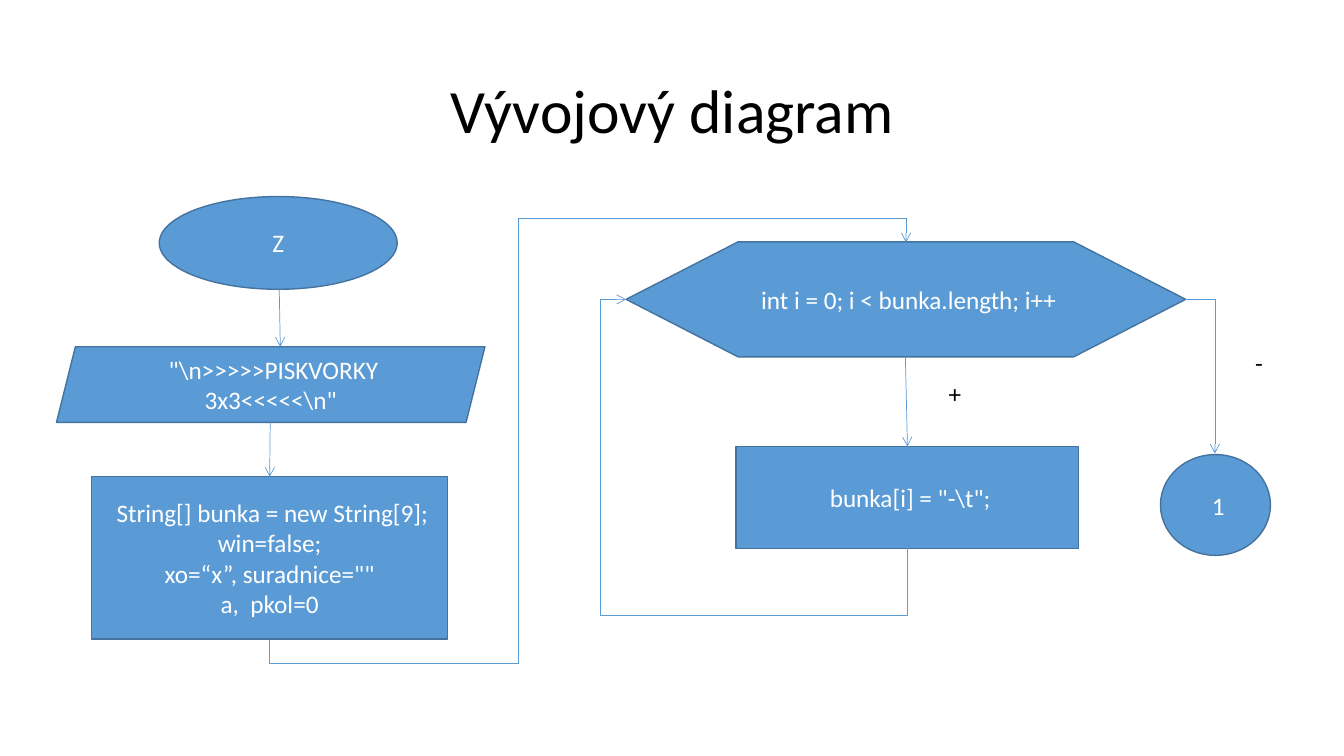
from lxml import etree
from pptx import Presentation
from pptx.dml.color import RGBColor
from pptx.enum.shapes import MSO_CONNECTOR, MSO_SHAPE
from pptx.enum.text import MSO_ANCHOR, MSO_AUTO_SIZE, PP_ALIGN
from pptx.oxml.ns import qn
from pptx.util import Inches, Pt

OVAL = MSO_SHAPE.OVAL
SLANT = MSO_SHAPE.PARALLELOGRAM
RECT = MSO_SHAPE.RECTANGLE
LOOP = MSO_SHAPE.FLOWCHART_PREPARATION
LINE, ELBOW = MSO_CONNECTOR.STRAIGHT, MSO_CONNECTOR.ELBOW
CENTER, LEFT = PP_ALIGN.CENTER, PP_ALIGN.LEFT
MIDDLE, TOP = MSO_ANCHOR.MIDDLE, MSO_ANCHOR.TOP
FIT = MSO_AUTO_SIZE.SHAPE_TO_FIT_TEXT

BLUE, EDGE, WHITE, BLACK = "5B9BD5", "43739E", "FFFFFF", "000000"
BODY = {"name": "Calibri", "size": Pt(18)}
HEAD = {"name": "Calibri", "size": Pt(44)}


def paint(target, color):
    target.rgb = RGBColor.from_string(color)


def write(frame, lines, style, color, align=CENTER, space=None):
    for i, line in enumerate(lines):
        para = frame.paragraphs[0] if i == 0 else frame.add_paragraph()
        para.alignment = align
        para.line_spacing = space
        run = para.add_run()
        run.text = line
        for key, value in style.items():
            setattr(run.font, key, value)
        paint(run.font.color, color)


def node(slide, kind, box, *lines):
    """Blue flowchart symbol with centred white text."""
    shape = slide.shapes.add_shape(kind, *map(Inches, box))
    shape.shadow.inherit = False
    shape.fill.solid()
    paint(shape.fill.fore_color, BLUE)
    paint(shape.line.color, EDGE)
    shape.line.width = Pt(1)
    shape.text_frame.vertical_anchor = MIDDLE
    write(shape.text_frame, lines, BODY, WHITE)
    return shape


def label(slide, box, text):
    """Small branch mark beside an arrow."""
    frame = slide.shapes.add_textbox(*map(Inches, box)).text_frame
    frame.word_wrap = False
    frame.auto_size = FIT
    frame.vertical_anchor = TOP
    write(frame, [text], BODY, BLACK, LEFT)


def title(slide, box, text):
    frame = slide.shapes.add_textbox(*map(Inches, box)).text_frame
    frame.word_wrap = True
    frame.vertical_anchor = MIDDLE
    write(frame, [text], HEAD, BLACK, space=0.9)


def arrow(slide, start, end, kind=LINE):
    link = slide.shapes.add_connector(kind, *map(Inches, start + end))
    paint(link.line.color, BLUE)
    link.line.width = Pt(0.5)
    props = link.element.spPr
    tail = etree.SubElement(props.find(qn("a:ln")), qn("a:tailEnd"))
    tail.set("type", "arrow")
    etree.SubElement(props, qn("a:effectLst"))
    return link


def elbow(slide, box, preset, turn=0, flips="", bends=()):
    """Bent arrow: frame before turning, turn in degrees, bends as shares."""
    x, y, w, h = box
    props = arrow(slide, (x, y), (x + w, y + h), ELBOW).element.spPr
    frame = props.find(qn("a:xfrm"))
    frame.set("rot", str(turn * 60000))
    for side in flips:
        frame.set("flip" + side, "1")
    geom = props.find(qn("a:prstGeom"))
    geom.set("prst", preset)
    guides = geom.find(qn("a:avLst"))
    for i, share in enumerate(bends, 1):
        guide = etree.SubElement(guides, qn("a:gd"))
        guide.set("name", f"adj{i}")
        guide.set("fmla", f"val {round(share * 100000)}")


def main():
    deck = Presentation()
    deck.slide_width, deck.slide_height = Inches(13.33), Inches(7.5)
    slide = deck.slides.add_slide(deck.slide_layouts[6])
    title(slide, (0.92, 0.4, 11.5, 1.45), "Vývojový diagram")

    # Start, output and variables
    node(slide, OVAL, (1.58, 1.95, 2.36, 0.92), "Z")
    node(slide, SLANT, (0.56, 3.44, 4.25, 0.75),
         r' "\n>>>>>PISKVORKY 3x3<<<<<\n"')
    setup = node(slide, RECT, (0.91, 4.73, 3.53, 1.61),
                 " String[] bunka = new String[9];", "win=false;",
                 'xo=“x”, suradnice=""', "a,  pkol=0")

    # Loop, its body and the page link
    node(slide, LOOP, (6.21, 2.4, 5.55, 1.14),
         " int i = 0; i < bunka.length; i++")
    step = node(slide, RECT, (7.3, 4.43, 3.4, 1.01), r' bunka[i] = "-\t";')
    node(slide, OVAL, (11.51, 4.51, 1.09, 1), " 1")

    # Straight arrows
    arrow(slide, (2.77, 2.87), (2.78, 3.44))
    arrow(slide, (2.68, 4.19), (2.68, 4.73)).end_connect(setup, 0)
    arrow(slide, (8.98, 3.55), (9, 4.43)).end_connect(step, 0)

    # Bent arrows: into the loop, back to it, and out of it
    elbow(slide, (3.86, 1.22, 3.94, 6.31), "bentConnector5", 90, "HV",
          (-0.06, 0.39, 1.06))
    elbow(slide, (6.37, 2.81, 2.47, 2.79), "bentConnector4", 90, "H",
          (-0.27, 1.09))
    elbow(slide, (11.75, 2.97, 0.3, 1.53), "bentConnector2")

    # Branch marks
    label(slide, (9.31, 3.7, 0.33, 0.4), "+")
    label(slide, (12.35, 3.4, 0.28, 0.4), "-")

    deck.save("out.pptx")


if __name__ == "__main__":
    main()
